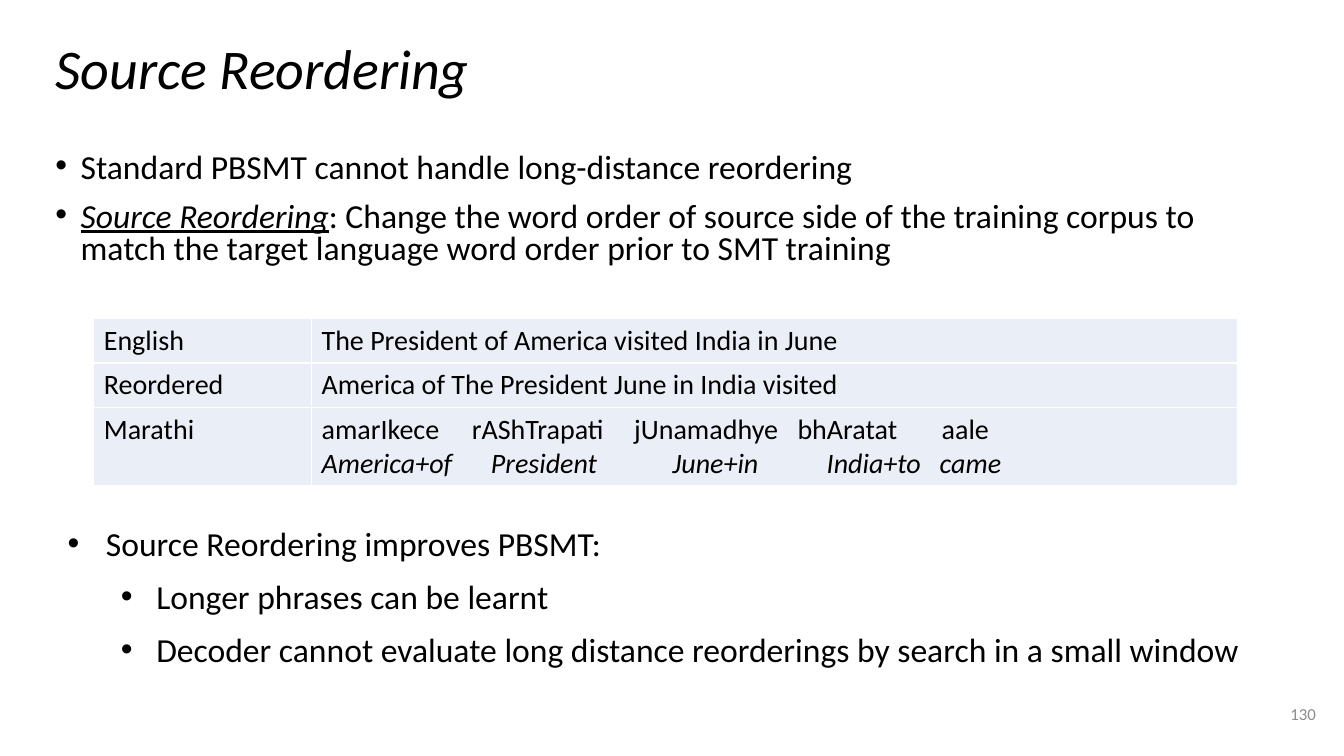
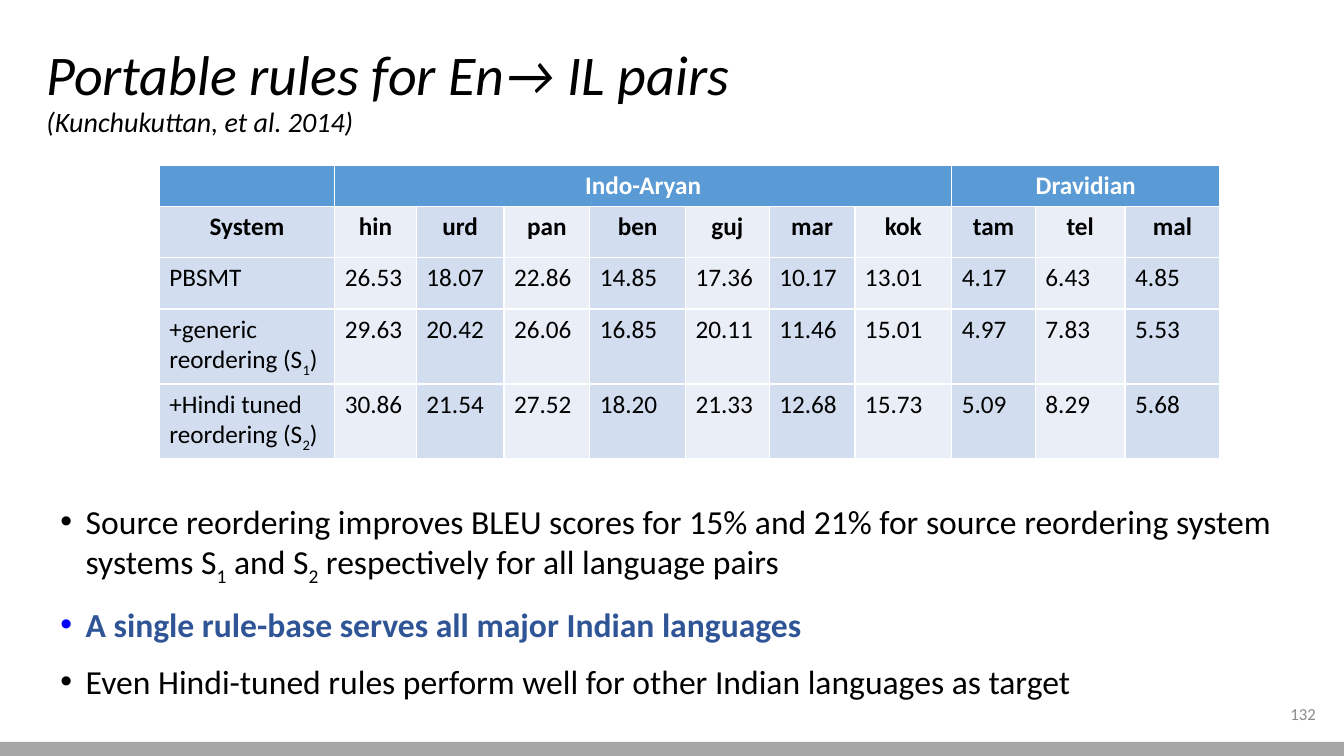
from lxml import etree
from pptx import Presentation
from pptx import util as u
from pptx.dml.color import RGBColor
from pptx.enum import shapes, text
from pptx.oxml import ns

FONT = "Calibri"
BLACK, WHITE, GRAY, BAR = "000000", "FFFFFF", "8C8C8C", "A5A5A5"
HEADER, BAND, PALE = "5B9BD5", "D2DEEF", "EAEFF7"
ACCENT, BULLET_BLUE = "2F5597", "0000FF"
LEFT, CENTER, RIGHT = text.PP_ALIGN.LEFT, text.PP_ALIGN.CENTER, text.PP_ALIGN.RIGHT


def rgb(hex_string):
    return RGBColor.from_string(hex_string)


def add_runs(paragraph, runs, size, color=BLACK, align=LEFT):
    """Add (text, style) runs; style combines b, i, u and s for subscript."""
    paragraph.alignment = align
    for words, style in runs:
        run = paragraph.add_run()
        run.text = words
        run.font.name = FONT
        run.font.size = u.Pt(size)
        run.font.color.rgb = rgb(color)
        run.font.bold = "b" in style
        run.font.italic = "i" in style
        run.font.underline = "u" in style
        if "s" in style:
            run._r.get_or_add_rPr().set("baseline", "-25000")


reordering = {
    "number": "130",
    "title_box": (0.45, 0.31, 12.42, 1.03),
    "title": [("Source Reordering", 40)],
    "body_box": (0.45, 1.42, 12.42, 5.72),
    "body": [
        {"runs": [("Standard PBSMT cannot handle long-distance reordering", "")],
         "indent": (0.25, -0.25), "line": 0.8},
        {"runs": [("Source Reordering", "iu"),
                  (": Change the word order of source side of the training corpus to match "
                   "the target language word order prior to SMT training", "")],
         "indent": (0.25, -0.25), "line": 0.8},
        {"runs": [("Source Reordering improves PBSMT:", "")],
         "indent": (0.5, -0.38), "line": 0.9, "before": 174},
        {"runs": [("Longer phrases can be learnt", "")],
         "indent": (1, -0.35), "line": 0.9, "level": 1},
        {"runs": [("Decoder cannot evaluate long distance reorderings by search in a small window", "")],
         "indent": (1, -0.35), "line": 0.9, "level": 1},
    ],
}
portable_rules = {
    "number": "132",
    "title_box": (0.36, 0.37, 12.34, 1.03),
    "title": [("Portable rules for En→ IL pairs", 40), ("(Kunchukuttan, et al. 2014)", 20)],
    "body_box": (0.25, 4.87, 12.79, 2.06),
    "body": [
        {"runs": [("Source reordering improves BLEU scores for 15% and 21% for source reordering "
                   "system systems S", ""), ("1", "s"), (" and S", ""), ("2", "s"),
                  (" respectively for all language pairs", "")]},
        {"runs": [("A single rule-base serves all major Indian languages", "b")],
         "color": ACCENT, "bullet": BULLET_BLUE},
        {"runs": [("Even Hindi-tuned rules perform well for other Indian languages as target", "")]},
    ],
}

presentation = Presentation()
presentation.slide_width = u.Inches(13.33)
presentation.slide_height = u.Inches(7.5)

# Title, bullet list and page number of every slide
slides = []
for content in (reordering, portable_rules):
    slide = presentation.slides.add_slide(presentation.slide_layouts[1])
    slides.append(slide)
    title, body = slide.shapes.title, slide.placeholders[1]
    number = slide.shapes.add_textbox(0, 0, 0, 0)
    boxes = (content["title_box"], content["body_box"], (12.35, 6.8, 0.8, 0.57))
    for shape, box in zip((title, body, number), boxes):
        shape.left, shape.top, shape.width, shape.height = map(u.Inches, box)
        frame = shape.text_frame
        frame.word_wrap = True
        frame.auto_size = text.MSO_AUTO_SIZE.NONE
        frame.vertical_anchor = text.MSO_ANCHOR.TOP
        frame.margin_left = frame.margin_right = u.Inches(0.1)
        frame.margin_top = frame.margin_bottom = u.Inches(0.1)
    number.text_frame.vertical_anchor = text.MSO_ANCHOR.MIDDLE
    add_runs(number.text_frame.paragraphs[0], [(content["number"], "")], 12, GRAY, RIGHT)

    frame = title.text_frame
    for index, (words, size) in enumerate(content["title"]):
        paragraph = frame.add_paragraph() if index else frame.paragraphs[0]
        paragraph.line_spacing = 0.9
        paragraph.space_before = u.Pt(0)
        add_runs(paragraph, [(words, "i")], size)

    frame = body.text_frame
    for index, item in enumerate(content["body"]):
        paragraph = frame.add_paragraph() if index else frame.paragraphs[0]
        paragraph.level = item.get("level", 0)
        paragraph.line_spacing = item.get("line", 1.0)
        paragraph.space_before = u.Pt(item.get("before", 0))
        paragraph.space_after = u.Pt(12)
        margin, hanging = item.get("indent", (0.5, -0.25))
        properties = paragraph._p.get_or_add_pPr()
        properties.set("marL", str(u.Inches(margin)))
        properties.set("indent", str(u.Inches(hanging)))
        bullet_color = etree.SubElement(properties, ns.qn("a:buClr"))
        etree.SubElement(bullet_color, ns.qn("a:srgbClr"), val=item.get("bullet", BLACK))
        etree.SubElement(properties, ns.qn("a:buFont"), typeface="Arial")
        etree.SubElement(properties, ns.qn("a:buChar"), char="•")
        add_runs(paragraph, item["runs"], 24, item.get("color", BLACK))

# Word order table
sentences = [
    ("English", ["The President of America visited India in June"]),
    ("Reordered", ["America of The President June in India visited"]),
    ("Marathi", ["amarIkece\trAShTrapati\tjUnamadhye\tbhAratat\taale",
                 "America+of\tPresident\tJune+in\tIndia+to\tcame"]),
]
gloss_tabs = [(1.49, 3.1, 4.72, 6.15), (1.68, 3.48, 5.01, 6.13)]
table = slides[0].shapes.add_table(3, 2, *map(u.Inches, (0.93, 3.16, 11.34, 1.6))).table
table.first_row = table.horz_banding = False
table.columns[0].width, table.columns[1].width = u.Inches(2.16), u.Inches(9.18)
for row, height, (language, lines) in zip(table.rows, (0.41, 0.41, 0.78), sentences):
    row.height = u.Inches(height)
    for cell, cell_lines in zip(row.cells, ([language], lines)):
        cell.fill.solid()
        cell.fill.fore_color.rgb = rgb(PALE)
        for index, line in enumerate(cell_lines):
            frame = cell.text_frame
            paragraph = frame.add_paragraph() if index else frame.paragraphs[0]
            if "\t" in line:
                stops = etree.SubElement(paragraph._p.get_or_add_pPr(), ns.qn("a:tabLst"))
                for position in gloss_tabs[index]:
                    etree.SubElement(stops, ns.qn("a:tab"), pos=str(u.Inches(position)), algn="l")
            add_runs(paragraph, [(line, "i" if index else "")], 20)

# BLEU score table
languages = "hin urd pan ben guj mar kok tam tel mal".split()
scores = [
    ([("PBSMT", "")], "26.53 18.07 22.86 14.85 17.36 10.17 13.01 4.17 6.43 4.85"),
    ([("+generic reordering (S", ""), ("1", "s"), (")", "")],
     "29.63 20.42 26.06 16.85 20.11 11.46 15.01 4.97 7.83 5.53"),
    ([("+Hindi tuned reordering (S", ""), ("2", "s"), (")", "")],
     "30.86 21.54 27.52 18.20 21.33 12.68 15.73 5.09 8.29 5.68"),
]
families = {1: "Indo-Aryan", 8: "Dravidian"}
rows = [[[(families[column], "b")] if column in families else [] for column in range(11)],
        [[(word, "b")] for word in ["System"] + languages]]
rows += [[system] + [[(value, "")] for value in values.split()] for system, values in scores]
widths = (1.74, 0.81, 0.87, 0.85, 0.95, 0.83, 0.85, 0.96, 0.83, 0.89, 0.94)
heights = (0.37, 0.51, 0.51, 0.72, 0.72)

table = slides[1].shapes.add_table(
    len(rows), len(widths), *map(u.Inches, (1.58, 1.64, sum(widths), sum(heights)))).table
table.horz_banding = False
for column, width in zip(table.columns, widths):
    column.width = u.Inches(width)
for row_index, runs_by_column in enumerate(rows):
    table.rows[row_index].height = u.Inches(heights[row_index])
    for column_index, runs in enumerate(runs_by_column):
        cell = table.cell(row_index, column_index)
        band = PALE if column_index % 2 else BAND
        cell.fill.solid()
        cell.fill.fore_color.rgb = rgb(band if row_index else HEADER)
        add_runs(cell.text_frame.paragraphs[0], runs, 18, BLACK if row_index else WHITE,
                 CENTER if row_index < 2 else LEFT)
table.cell(0, 1).merge(table.cell(0, 7))
table.cell(0, 8).merge(table.cell(0, 10))

# Bottom band
band = slides[1].shapes.add_shape(
    shapes.MSO_SHAPE.RECTANGLE, *map(u.Inches, (0, 7.36, 13.33, 0.14)))
band.shadow.inherit = False
band.fill.solid()
band.fill.fore_color.rgb = rgb(BAR)
band.line.fill.background()

presentation.save("out.pptx")
